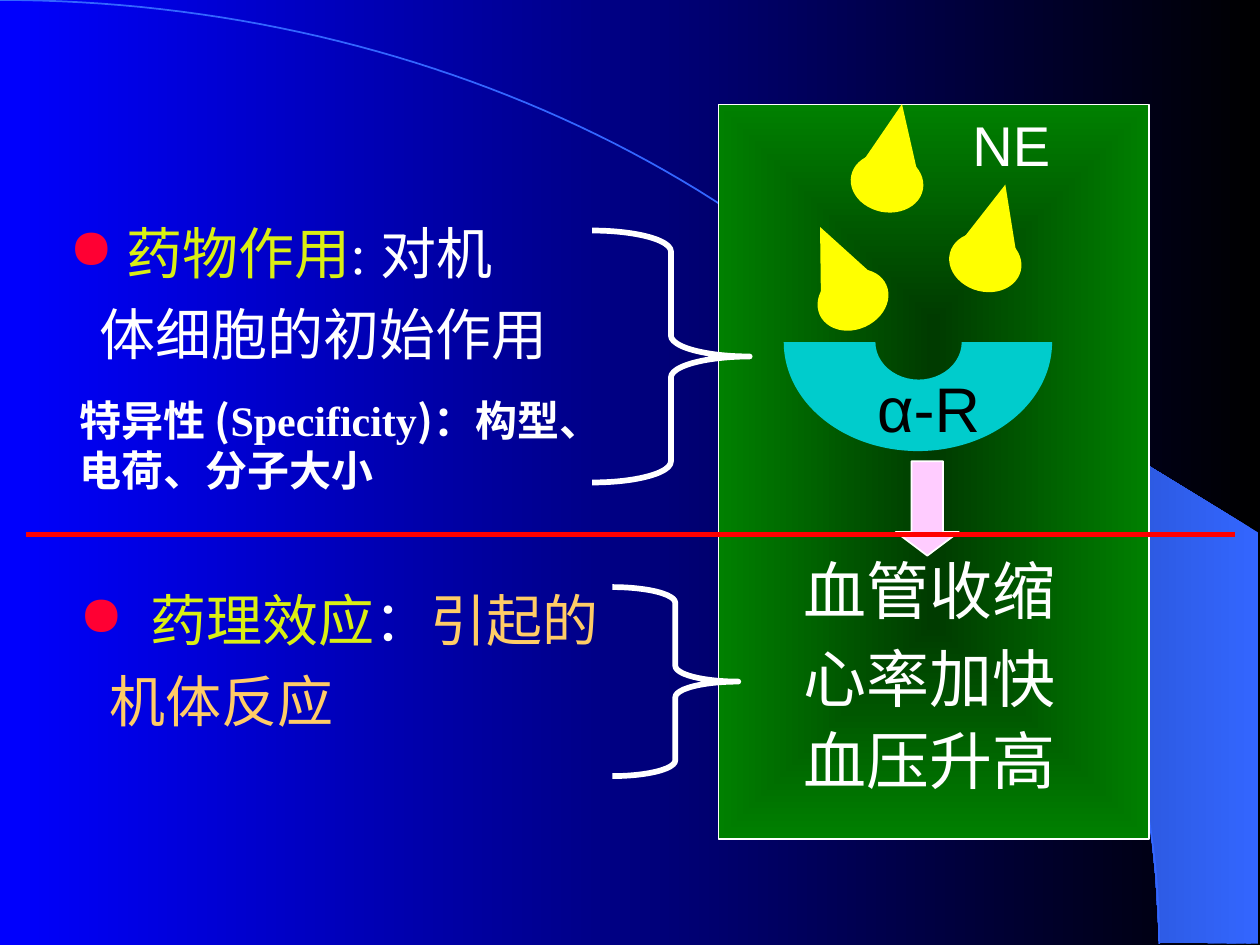
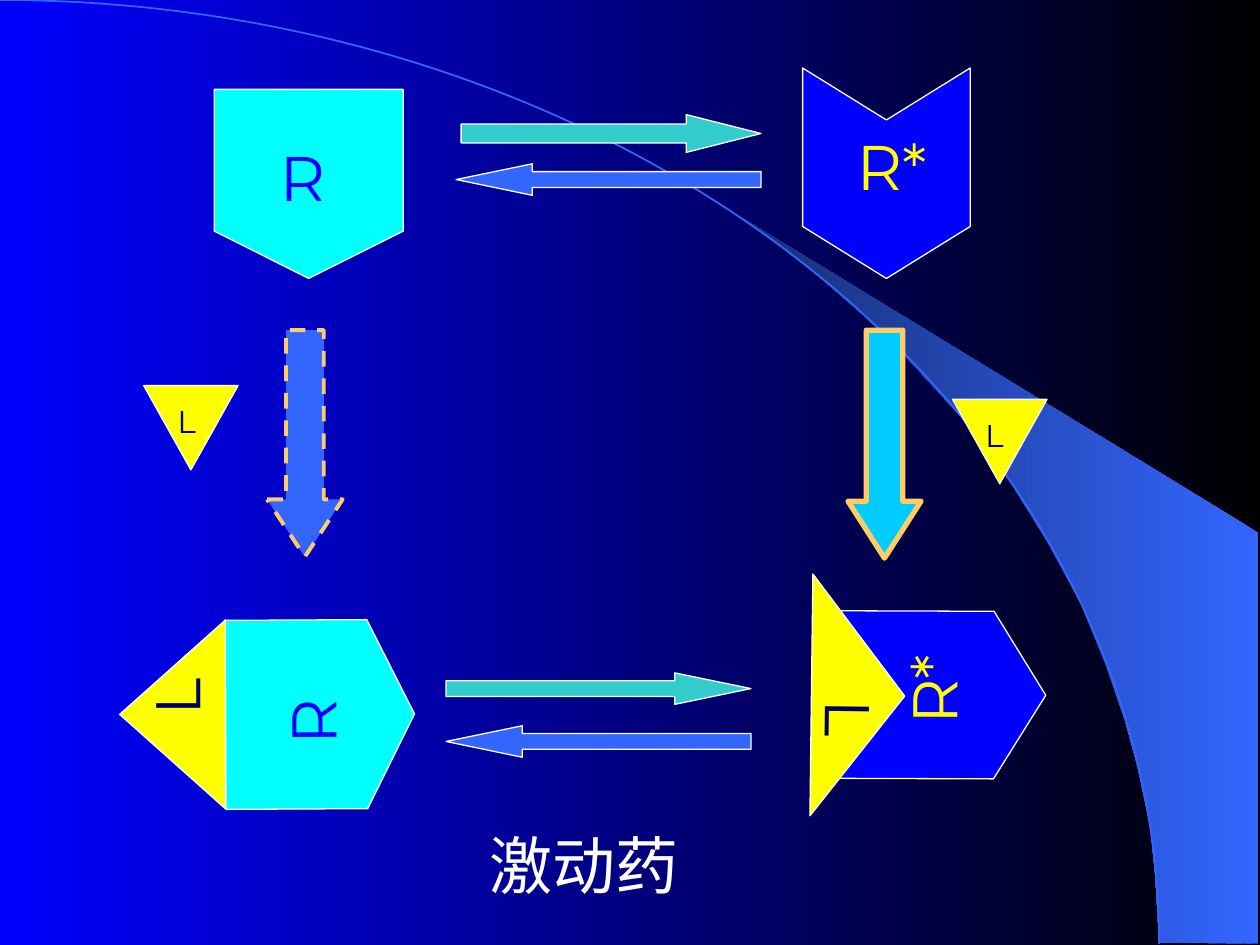
"""Build two pharmacology slides: drug action versus effect, and the agonist receptor cycle."""
from dataclasses import dataclass
from math import cos, radians, sin

from lxml.etree import SubElement
from pptx import Presentation
from pptx.dml.color import RGBColor
from pptx.enum.dml import MSO_LINE_DASH_STYLE as Dash
from pptx.enum.shapes import MSO_CONNECTOR, MSO_SHAPE as Shape
from pptx.enum.text import PP_ALIGN as Align
from pptx.oxml.ns import qn
from pptx.util import Inches, Pt


@dataclass(frozen=True)
class Theme:
    black: str = "000000"
    white: str = "FFFFFF"
    blue: str = "0000FF"
    sky: str = "3366FF"
    dusk: str = "172F75"
    navy: str = "000066"
    forest: str = "003B00"
    green: str = "008000"
    yellow: str = "FFFF00"
    lime: str = "DAEF13"
    amber: str = "FFCC66"
    pink: str = "FFCCFF"
    red: str = "FF0000"
    bullet: str = "FF0033"
    receptor: str = "00CCCC"
    cyan: str = "00FFFF"
    bright: str = "00CCFF"
    teal: str = "33CCCC"
    serif: str = "Times New Roman"
    sans: str = "Arial"
    label: str = "Montserrat"
    chinese: str = "Noto Sans CJK SC"
    huge: int = 36
    large: int = 32
    medium: int = 24
    small: int = 18
    hairline: float = 0.75


THEME = Theme()

SWEEP = [(9.2, 7.48), (9.99, 7.49), (9.99, 4.23), (5.89, 1.73), (6.24, 1.99), (6.53, 2.22),
         (6.85, 2.5), (7.16, 2.8), (7.62, 3.3), (8.03, 3.84), (8.32, 4.31), (8.58, 4.79),
         (8.78, 5.28), (8.93, 5.72), (9.03, 6.09), (9.13, 6.56), (9.17, 6.96)]
ARC_RADII = (9.2, 7.49)
ARC_STEPS = 90

PANEL = (5.7, 0.83, 3.42, 5.83)
RECEPTOR_ARCS = [(6.65, 2.12, 1.28, 1.19), (6.22, 1.85, 2.13, 1.73)]
DROPS = [(7.82, 2.08, 14.5), (6.77, 2.38, -24.3), (7.04, 1.45, 10.8)]
BRACES = [(4.7, 1.83, 1.25, 2), (4.86, 4.66, 1, 1.5)]
RESPONSES = [["血管收缩"], ["心率加快"], ["血压升高"]]
SPECIFICITY = [["特异性 (", ("Specificity", {"font": THEME.serif}), ")：构型、电荷、分子大小"]]
ACTION = [[(" 药物作用", {"color": THEME.lime}), ": 对机", "\n", "体细胞的初始作用"]]
EFFECT = [[(" ", {"tracking": 8}), ("药理效应", {"color": THEME.lime}), "：",
           ("引起的机体反应", {"color": THEME.amber})]]

FLOW_ARROWS = [
    (Shape.LEFT_ARROW, (3.62, 1.3, 2.42, 0.25), THEME.sky, 2.42),
    (Shape.RIGHT_ARROW, (3.66, 0.91, 2.38, 0.3), THEME.teal, 1.98),
    (Shape.RIGHT_ARROW, (3.54, 5.34, 2.42, 0.25), THEME.teal, 2.42),
    (Shape.LEFT_ARROW, (3.54, 5.76, 2.42, 0.25), THEME.sky, 2.42),
]
RESTING = {"kind": Shape.PENTAGON, "fill": THEME.cyan, "adjust": [0.25]}
ACTIVE = {"kind": Shape.CHEVRON, "fill": THEME.blue, "adjust": [0.31]}
RECEPTORS = [
    (RESTING, (1.7, 0.71, 1.5, 1.5), 90, "R", (2.12, 1.05), 0, THEME.blue),
    (ACTIVE, (6.2, 0.71, 1.67, 1.33), 90, "R*", (6.7, 0.96), 0, THEME.yellow),
    (RESTING, (1.79, 4.92, 1.5, 1.5), -0.3, "R", (2.01, 5.2), 269.7, THEME.blue),
    (ACTIVE, (6.63, 4.85, 1.67, 1.33), 0.2, "R*", (6.94, 5.04), 270.2, THEME.yellow),
]
LIGANDS = [
    ((0.62, 5.25, 1.5, 0.84), 90, (1.15, 5.13, 0.58, 0.8), 270, THEME.huge),
    ((5.85, 5.15, 1.92, 0.74), 270.7, (6.32, 5.3, 0.75, 0.8), 90.7, THEME.huge),
    ((1.14, 3.06, 0.75, 0.67), 0, (1.31, 3.14, 0.58, 0.4), 0, THEME.small),
    ((7.56, 3.17, 0.75, 0.67), 0, (7.72, 3.25, 0.58, 0.4), 0, THEME.small),
]


def rgb(color):
    return RGBColor.from_string(color)


def inches(values):
    return [Inches(value) for value in values]


def paint_gradient(fill, colors):
    fill.gradient()
    fill.gradient_angle = 180
    for stop, color in zip(fill.gradient_stops, colors):
        stop.color.rgb = rgb(color)


def style(shape, fill=None, line=None, width=THEME.hairline, dash=None):
    shape.shadow.inherit = False
    if fill:
        shape.fill.solid()
        shape.fill.fore_color.rgb = rgb(fill)
    else:
        shape.fill.background()
    if line:
        shape.line.color.rgb = rgb(line)
        shape.line.width = Pt(width)
        if dash:
            shape.line.dash_style = dash
    else:
        shape.line.fill.background()


def add_shape(page, kind, place, rotation=0, adjust=(), **look):
    shape = page.shapes.add_shape(kind, *inches(place))
    shape.rotation = rotation
    for index, value in enumerate(adjust):
        shape.adjustments[index] = value
    style(shape, **look)
    return shape


def add_outline(page, points, close):
    points = [inches(point) for point in points]
    builder = page.shapes.build_freeform(*points[0], scale=1.0)
    builder.add_line_segments(points[1:], close=close)
    return builder.convert_to_shape()


def add_bullet(para):
    properties = para._p.get_or_add_pPr()
    properties.set("marL", str(Inches(0.24)))
    properties.set("indent", str(-Inches(0.24)))
    color = SubElement(properties, qn("a:buClr"))
    SubElement(color, qn("a:srgbClr"), val=THEME.bullet)
    SubElement(properties, qn("a:buChar"), char="●")


def add_span(para, text, size, font, color, bold, tracking=0):
    span = para.add_run()
    span.text = text
    span.font.size = Pt(size)
    span.font.name = font
    span.font.bold = bold
    span.font.color.rgb = rgb(color)
    properties = span.font._element
    SubElement(properties, qn("a:ea"), typeface=THEME.chinese)
    if tracking:
        properties.set("spc", str(tracking * 100))


def add_text(page, place, paragraphs, size=THEME.huge, font=THEME.label, color=THEME.white,
             bold=False, align=Align.LEFT, rotation=0, gaps=(), bullet=False):
    box = page.shapes.add_textbox(*inches(place))
    box.rotation = rotation
    frame = box.text_frame
    frame.word_wrap = True
    base = {"size": size, "font": font, "color": color, "bold": bold}
    for index, spans in enumerate(paragraphs):
        para = frame.add_paragraph() if index else frame.paragraphs[0]
        para.alignment = align
        if bullet:
            add_bullet(para)
            para.line_spacing = 1.2
        if index and gaps:
            para.space_before = Pt(gaps[index - 1])
        for span in spans:
            text, changes = (span, {}) if isinstance(span, str) else span
            if text == "\n":
                para.add_line_break()
            else:
                add_span(para, text, **{**base, **changes})


def add_page(deck):
    page = deck.slides.add_slide(deck.slide_layouts[6])
    paint_gradient(page.background.fill, (THEME.black, THEME.blue))
    sweep = add_outline(page, SWEEP, close=True)
    style(sweep)
    paint_gradient(sweep.fill, (THEME.sky, THEME.dusk))
    across, down = ARC_RADII
    angles = [radians(90 * step / ARC_STEPS) for step in range(ARC_STEPS + 1)]
    arc = add_outline(page, [(across * sin(a), down * (1 - cos(a))) for a in angles], close=False)
    style(arc, line=THEME.sky, width=1)
    return page


def add_panel(page):
    panel = add_shape(page, Shape.RECTANGLE, PANEL, line=THEME.white)
    paint_gradient(panel.fill, (THEME.forest, THEME.green))
    gradient = panel.element.spPr.find(qn("a:gradFill"))
    gradient.remove(gradient.find(qn("a:lin")))
    center = SubElement(gradient, qn("a:path"), path="rect")
    SubElement(center, qn("a:fillToRect"), l="50000", t="50000", r="50000", b="50000")


def add_drop(page, x, y, angle):
    tip_x, tip_y = x + 0.32 * sin(radians(angle)), y - 0.32 * cos(radians(angle))
    parts = [(Shape.OVAL, x, y, 0.58, 0.47),
             (Shape.ISOSCELES_TRIANGLE, tip_x, tip_y, 0.55, 0.63)]
    for kind, middle_x, middle_y, width, height in parts:
        place = (middle_x - width / 2, middle_y - height / 2, width, height)
        add_shape(page, kind, place, rotation=angle, fill=THEME.yellow)


def add_brace(page, place):
    width, height = place[2:]
    add_shape(page, Shape.RIGHT_BRACE, place, adjust=[height / 12 / min(width, height)],
              line=THEME.white, width=3.25)


def build_action_page(deck):
    page = add_page(deck)
    add_panel(page)
    add_shape(page, Shape.DOWN_ARROW, (7.11, 3.66, 0.5, 0.75), adjust=[0.5, 0.375],
              fill=THEME.pink, line=THEME.white, width=1)
    add_text(page, (6.28, 4.33, 2.75, 2.05), RESPONSES, font=THEME.serif, gaps=(6.8, 3.7))
    for place in RECEPTOR_ARCS:
        add_shape(page, Shape.BLOCK_ARC, place, rotation=180, fill=THEME.receptor)
    for drop in DROPS:
        add_drop(page, *drop)
    add_text(page, (7.62, 0.83, 0.94, 0.64), [["NE"]], size=THEME.large, font=THEME.sans)
    add_text(page, (5.95, 2.88, 2.84, 0.7), [["α-R"]], font=THEME.sans, color=THEME.black,
             align=Align.CENTER)
    add_text(page, (0.53, 3.08, 4.42, 0.9), SPECIFICITY, size=THEME.medium,
             font=THEME.chinese, bold=True)
    for place, words in [((0.45, 1.58, 4.1, 1.38), ACTION), ((0.53, 4.49, 4.5, 2.3), EFFECT)]:
        add_text(page, place, words, size=THEME.large, font=THEME.serif, bullet=True)
    for place in BRACES:
        add_brace(page, place)
    divider = page.shapes.add_connector(MSO_CONNECTOR.STRAIGHT, *inches((0.21, 4.24, 9.8, 4.24)))
    divider.line.color.rgb = rgb(THEME.red)
    divider.line.width = Pt(3)
    SubElement(divider.element.spPr, qn("a:effectLst"))


def build_agonist_page(deck):
    page = add_page(deck)
    for kind, place, fill, head in FLOW_ARROWS:
        add_shape(page, kind, place, adjust=[0.5, head], fill=fill, line=THEME.white)
    for look, place, rotation, name, corner, turn, color in RECEPTORS:
        add_shape(page, place=place, rotation=rotation, line=THEME.white, **look)
        add_text(page, (*corner, 0.92, 0.7), [[name]], color=color, rotation=turn)
    add_shape(page, Shape.DOWN_ARROW, (2.12, 2.62, 0.6, 1.8), adjust=[0.5, 0.76],
              fill=THEME.sky, line=THEME.amber, width=2.25, dash=Dash.DASH)
    add_shape(page, Shape.DOWN_ARROW, (6.73, 2.62, 0.58, 1.81), adjust=[0.5, 0.78],
              fill=THEME.bright, line=THEME.amber, width=3)
    for place, rotation, label_place, turn, size in LIGANDS:
        add_shape(page, Shape.FLOWCHART_MERGE, place, rotation=rotation,
                  fill=THEME.yellow, line=THEME.white)
        add_text(page, label_place, [["L"]], size=size, color=THEME.navy, rotation=turn,
                 align=Align.CENTER if turn else Align.LEFT)
    add_text(page, (3.79, 6.51, 1.98, 0.7), [["激动药"]])


def main():
    deck = Presentation()
    deck.slide_width, deck.slide_height = Inches(10), Inches(7.5)
    build_action_page(deck)
    build_agonist_page(deck)
    deck.save("out.pptx")


if __name__ == "__main__":
    main()
